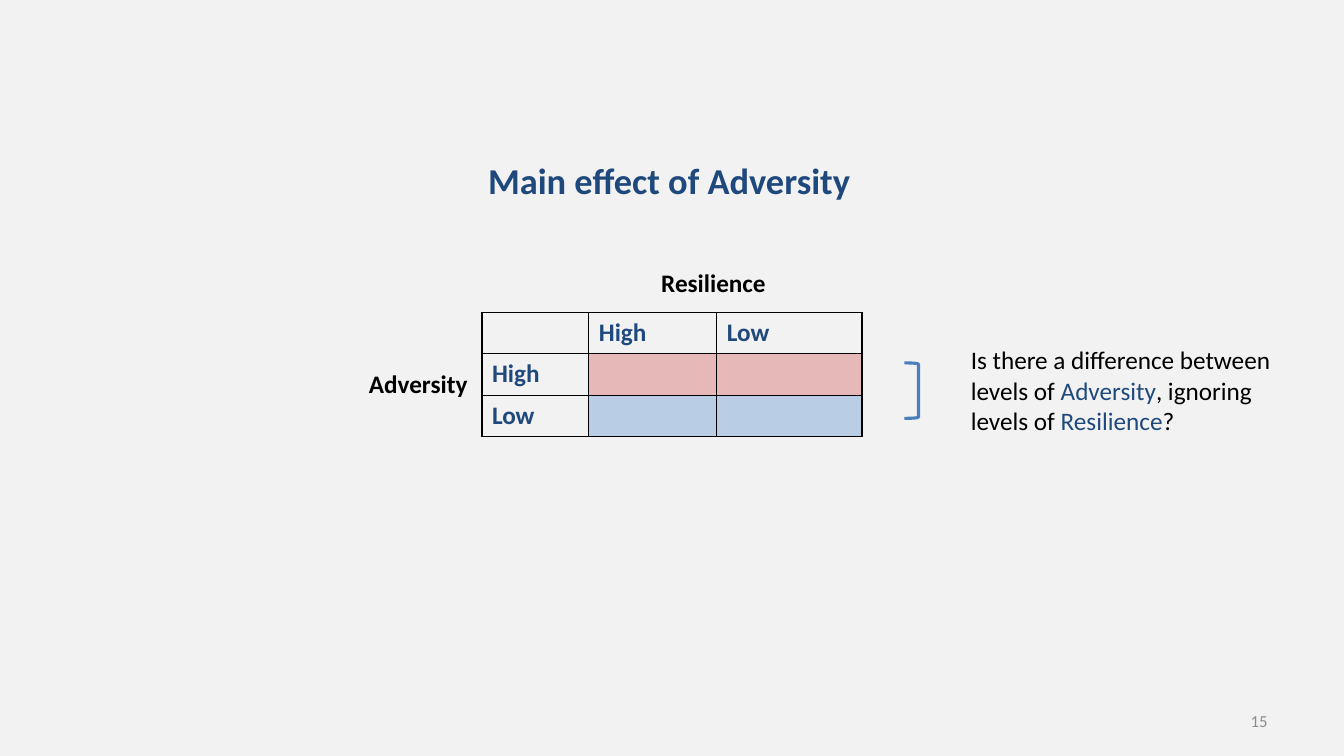
from typing import NamedTuple

from lxml import etree
from pptx import Presentation
from pptx.dml.color import RGBColor
from pptx.enum import shapes, text
from pptx.oxml import ns
from pptx.util import Inches, Pt

COLORS = {
    "background": "F2F2F2", "navy": "1F497D", "black": "000000", "gray": "8C8C8C",
    "pink": "E6B9B8", "blue": "B9CDE5", "bracket": "4B7EBC",
}


class Label(NamedTuple):
    box: tuple[float, float, float, float]
    runs: list[tuple[str, str]]
    size: float = 18
    bold: bool = False
    wrap: bool = False
    align: text.PP_ALIGN = text.PP_ALIGN.LEFT
    anchor: text.MSO_ANCHOR = text.MSO_ANCHOR.TOP


LABELS = [
    Label((6.46, 2.6, 1.24, 0.4), [("Resilience", "black")], bold=True),
    Label((3.56, 3.6, 1.19, 0.4), [("Adversity", "black")], bold=True),
    Label((9.53, 3.37, 3.45, 1.01), [
        ("Is there a difference between levels of ", "black"), ("Adversity", "navy"),
        (", ignoring levels of ", "black"), ("Resilience", "navy"), ("?", "black"),
    ], wrap=True),
    Label((9.56, 6.95, 3.11, 0.4), [("15", "gray")], size=12, wrap=True,
          align=text.PP_ALIGN.RIGHT, anchor=text.MSO_ANCHOR.MIDDLE),
]

COLUMN_WIDTHS = [1.06, 1.27, 1.44]
ROW_HEIGHT = 0.41
TABLE_TEXT = [["", "High", "Low"], ["High", "", ""], ["Low", "", ""]]
ROW_FILLS = [None, "pink", "blue"]


def rgb(name: str) -> RGBColor:
    return RGBColor.from_string(COLORS[name])


def write(frame, runs, *, size=18, bold=False, align=text.PP_ALIGN.LEFT) -> None:
    """Fill the first paragraph with coloured runs."""
    paragraph = frame.paragraphs[0]
    paragraph.alignment = align
    for words, color in runs:
        run = paragraph.add_run()
        run.text = words
        run.font.name = "Calibri"
        run.font.size = Pt(size)
        run.font.bold = bold
        run.font.color.rgb = rgb(color)


def place(shape, box) -> None:
    shape.left, shape.top, shape.width, shape.height = map(Inches, box)


def add_label(slide, label: Label) -> None:
    shape = slide.shapes.add_textbox(*map(Inches, label.box))
    shape.text_frame.word_wrap = label.wrap
    shape.text_frame.vertical_anchor = label.anchor
    write(shape.text_frame, label.runs, size=label.size, bold=label.bold, align=label.align)


def add_borders(cell) -> None:
    """Draw 1 pt black lines; borders must precede the cell's fill."""
    properties = cell._tc.get_or_add_tcPr()
    for index, side in enumerate(("lnL", "lnR", "lnT", "lnB")):
        line = etree.Element(ns.qn(f"a:{side}"), w=str(Pt(1)))
        fill = etree.SubElement(line, ns.qn("a:solidFill"))
        etree.SubElement(fill, ns.qn("a:srgbClr"), val=COLORS["black"])
        properties.insert(index, line)


def add_design_table(slide) -> None:
    row_count, column_count = len(TABLE_TEXT), len(COLUMN_WIDTHS)
    table = slide.shapes.add_table(
        row_count, column_count, Inches(4.78), Inches(3.1),
        Inches(sum(COLUMN_WIDTHS)), Inches(ROW_HEIGHT * row_count)).table
    table.first_row = table.horz_banding = False
    for column, width in zip(table.columns, COLUMN_WIDTHS):
        column.width = Inches(width)
    for row, words_in_row, color in zip(table.rows, TABLE_TEXT, ROW_FILLS):
        row.height = Inches(ROW_HEIGHT)
        for index, (cell, words) in enumerate(zip(row.cells, words_in_row)):
            if color and index:
                cell.fill.solid()
                cell.fill.fore_color.rgb = rgb(color)
            else:
                cell.fill.background()
            if words:
                write(cell.text_frame, [(words, "navy")], bold=True)
            add_borders(cell)


def add_bracket(slide) -> None:
    bracket = slide.shapes.add_shape(
        shapes.MSO_SHAPE.LEFT_BRACKET, *map(Inches, (8.97, 3.6, 0.14, 0.55)))
    bracket.rotation = 180
    bracket.shadow.inherit = False
    bracket.fill.background()
    bracket.line.color.rgb = rgb("bracket")
    bracket.line.width = Pt(2.25)


def main() -> None:
    presentation = Presentation()
    presentation.slide_width, presentation.slide_height = Inches(13.33), Inches(7.5)
    slide = presentation.slides.add_slide(presentation.slide_layouts[5])
    slide.background.fill.solid()
    slide.background.fill.fore_color.rgb = rgb("background")

    # Title
    title = slide.shapes.title
    place(title, (4.74, 1.52, 3.85, 0.54))
    title.text_frame.word_wrap = False
    title.text_frame.auto_size = text.MSO_AUTO_SIZE.NONE
    title.text_frame.vertical_anchor = text.MSO_ANCHOR.TOP
    write(title.text_frame, [("Main effect of Adversity", "navy")], size=26, bold=True)

    # Two-by-two design, with the compared rows bracketed
    add_design_table(slide)
    add_bracket(slide)

    # Factor names, question and slide number
    for label in LABELS:
        add_label(slide, label)

    presentation.save("out.pptx")


if __name__ == "__main__":
    main()
